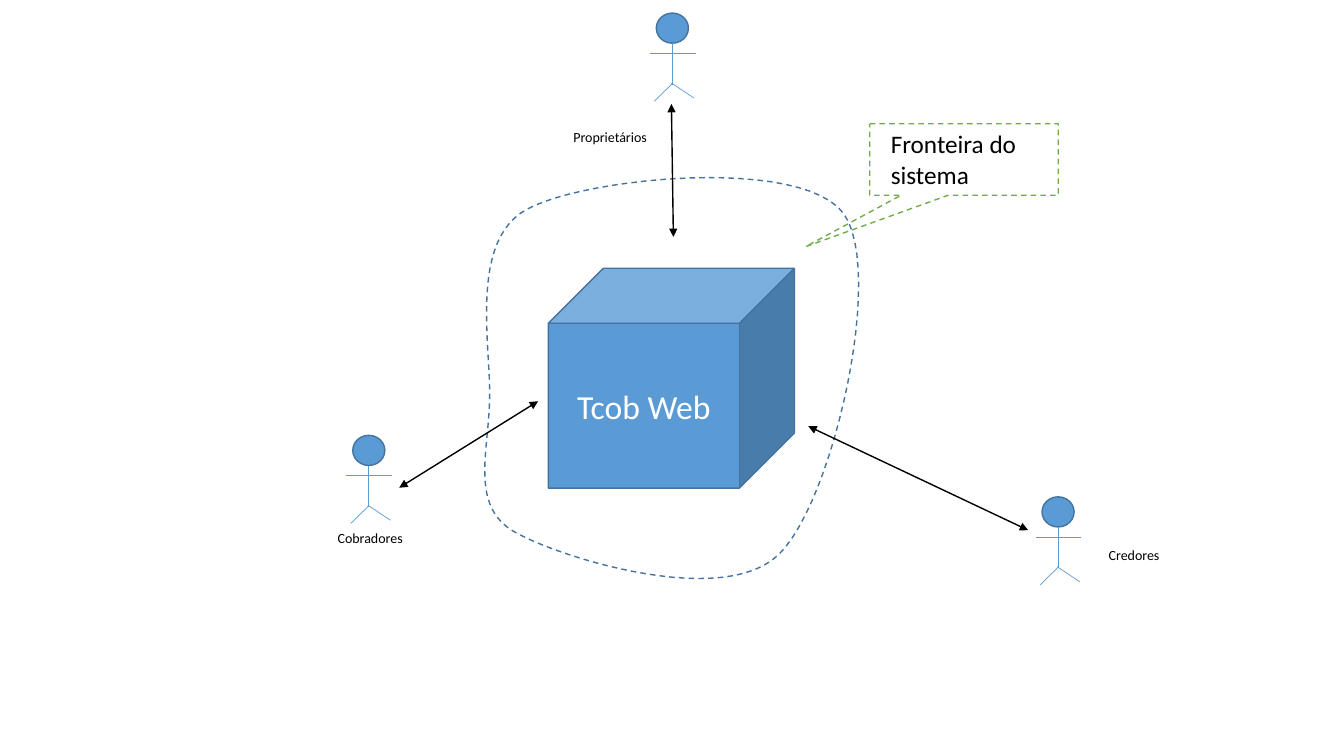
from typing import NamedTuple

from lxml import etree
from pptx import Presentation, util as u
from pptx.dml.color import RGBColor
from pptx.enum import dml, shapes, text
from pptx.oxml import ns

COLORS = {"blue": "5B9BD5", "edge": "43739E", "green": "70AD47",
          "black": "000000", "white": "FFFFFF"}
Point = tuple[float, float]


class Actor(NamedTuple):
    """A stick figure, its label and its arrow to the system, in cm."""
    name: str
    head: Point
    label: Point
    label_width: float
    arrow: tuple[Point, Point]


ACTORS = [
    Actor("Proprietários", (16.54, 0.33), (14.2, 3.12), 3.28, ((16.92, 2.62), (16.97, 5.97))),
    Actor("Cobradores", (8.89, 10.97), (8.26, 13.21), 3.73, ((10.06, 12.29), (13.56, 10.11))),
    Actor("Credores", (26.26, 12.52), (27.69, 13.64), 3.28, ((25.91, 13.36), (20.37, 10.74))),
]
# Body, legs and arms, measured from the top left of the head
LIMBS = [((0.4, 0.76), (0.4, 1.8)), ((0.4, 1.78), (-0.05, 2.22)),
         ((0.38, 1.76), (0.95, 2.14)), ((-0.16, 1.02), (0.99, 1.02))]
# Each Bézier segment: two control points and an end point
BORDER_START = (13.31, 5.26)
BORDER = [((14.78, 4.47), (20.19, 3.94), (21.26, 5.38)),
          ((22.3, 6.83), (21.01, 12.62), (19.63, 13.97)),
          ((18.26, 15.32), (14.25, 14.1), (13.03, 13.44)),
          ((11.81, 12.8), (12.32, 11.4), (12.34, 10.03)),
          ((12.37, 8.69), (11.81, 6.02), BORDER_START)]
CURVE_STEPS = 24


def rgb(name: str) -> RGBColor:
    """Look up a named colour."""
    return RGBColor.from_string(COLORS[name])


def set_line(sp, color: str, width: float = 1, dashed: bool = False) -> None:
    """Set the colour, width and dash of a line."""
    sp.line.color.rgb = rgb(color)
    sp.line.width = u.Pt(width)
    if dashed:
        sp.line.dash_style = dml.MSO_LINE.DASH


def style_shape(sp, line: str, fill: str | None = None) -> None:
    """Give a solid outline and fill, or a dashed outline without fill."""
    sp.shadow.inherit = False
    if fill:
        sp.fill.solid()
        sp.fill.fore_color.rgb = rgb(fill)
    else:
        sp.fill.background()
    set_line(sp, line, dashed=fill is None)


def add_shape(s, kind, box: tuple, line: str, fill: str | None = None):
    """Add a styled preset shape in a box given in cm."""
    sp = s.shapes.add_shape(kind, *map(u.Cm, box))
    style_shape(sp, line, fill)
    return sp


def write(tf, lines: list[str], size: int, color: str = "black") -> None:
    """Fill a text frame, one paragraph a line."""
    tf.word_wrap = True
    for i, line in enumerate(lines):
        p = tf.paragraphs[0] if i == 0 else tf.add_paragraph()
        p.text = line
        p.font.name, p.font.size, p.font.color.rgb = "Calibri", u.Pt(size), rgb(color)


def add_text(s, box: tuple, lines: list[str], size: int) -> None:
    """Add a text box in a box given in cm."""
    tf = s.shapes.add_textbox(*map(u.Cm, box)).text_frame
    write(tf, lines, size)
    tf.auto_size = text.MSO_AUTO_SIZE.SHAPE_TO_FIT_TEXT


def add_line(s, start: Point, end: Point, color: str, width: float, arrows: bool = False) -> None:
    """Add a straight line, with arrowheads at both ends if asked."""
    sp = s.shapes.add_connector(shapes.MSO_CONNECTOR.STRAIGHT, *map(u.Cm, start + end))
    set_line(sp, color, width)
    if arrows:
        ln = sp.line._get_or_add_ln()
        for tag in ("a:headEnd", "a:tailEnd"):
            etree.SubElement(ln, ns.qn(tag), type="triangle")
    etree.SubElement(sp._element.spPr, ns.qn("a:effectLst"))


def add_border(s) -> None:
    """Draw the closed curve around the system."""
    points, start = [], BORDER_START
    for c1, c2, end in BORDER:
        for i in range(1, CURVE_STEPS + 1):
            t = i / CURVE_STEPS
            weights = ((1 - t) ** 3, 3 * t * (1 - t) ** 2, 3 * t * t * (1 - t), t ** 3)
            points.append(tuple(
                u.Cm(sum(w * v for w, v in zip(weights, axis)))
                for axis in zip(start, c1, c2, end)))
        start = end
    builder = s.shapes.build_freeform(*map(u.Cm, BORDER_START))
    builder.add_line_segments(points, close=True)
    style_shape(builder.convert_to_shape(), "edge")


def add_actor(s, actor: Actor) -> None:
    """Draw a stick figure with its label and arrow."""
    x, y = actor.head
    add_shape(s, shapes.MSO_SHAPE.OVAL, (x, y, 0.81, 0.76), "edge", "blue")
    for (x1, y1), (x2, y2) in LIMBS:
        add_line(s, (x + x1, y + y1), (x + x2, y + y2), "blue", 0.5)
    add_text(s, (*actor.label, actor.label_width, 0.69), [actor.name], 10)
    add_line(s, *actor.arrow, "black", 1, arrows=True)


prs = Presentation()
prs.slide_width, prs.slide_height = u.Cm(33.87), u.Cm(19.05)
s = prs.slides.add_slide(prs.slide_layouts[6])

cube = add_shape(s, shapes.MSO_SHAPE.CUBE, (13.82, 6.76, 6.2, 5.54), "edge", "blue")
write(cube.text_frame, ["Tcob Web"], 24, "white")
cube.text_frame.vertical_anchor = text.MSO_ANCHOR.MIDDLE
cube.text_frame.paragraphs[0].alignment = text.PP_ALIGN.CENTER

add_border(s)
for actor in ACTORS:
    add_actor(s, actor)

callout = add_shape(s, shapes.MSO_SHAPE.RECTANGULAR_CALLOUT, (21.92, 3.12, 4.75, 1.8), "green")
callout.adjustments[0], callout.adjustments[1] = -0.84, 1.22
add_text(s, (22.2, 3.12, 5.13, 1.8), ["Fronteira do", "sistema"], 18)

prs.save("out.pptx")
